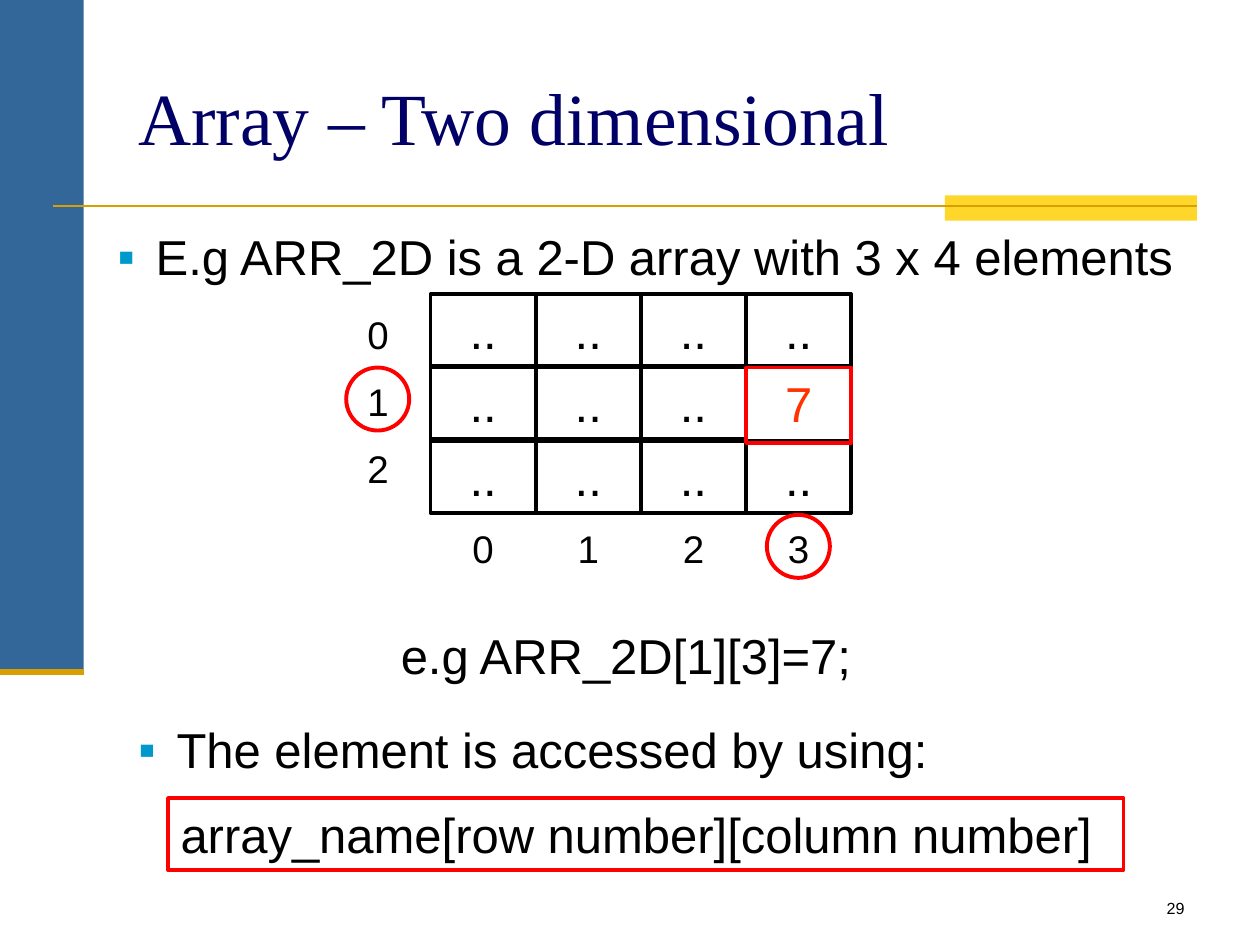
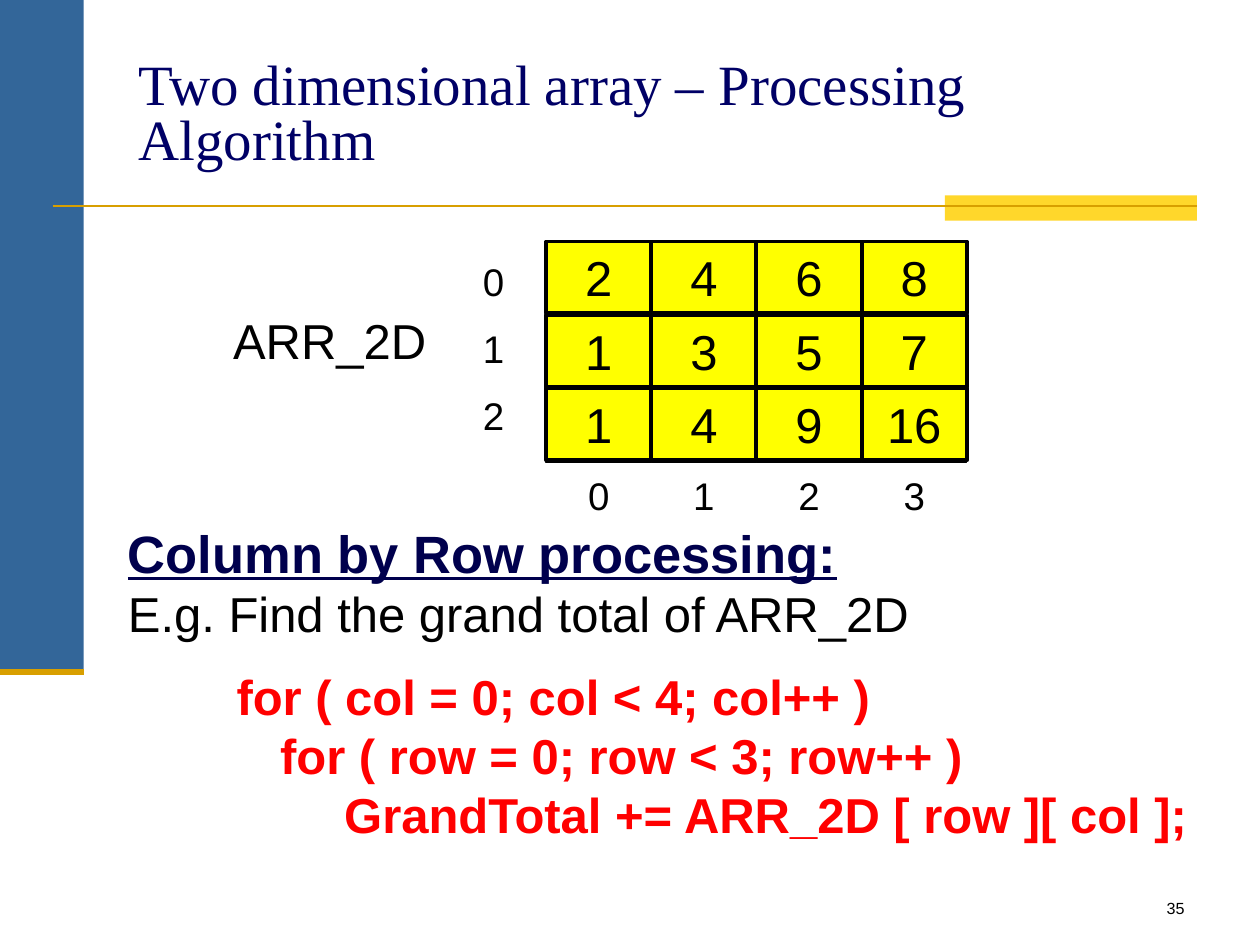
from lxml import etree
from pptx import Presentation
from pptx.dml.color import RGBColor
from pptx.enum import shapes, text
from pptx.oxml import ns
from pptx.util import Cm, Pt

BLACK, RED, NAVY = "000000", "FF0000", "000066"
BLUE, GOLD, AMBER, YELLOW = "336699", "FFD72B", "D89F00", "FFFF00"
ORANGE, DEEP_NAVY, CYAN = "FF3300", "00004D", "0099CC"
SANS, SERIF = "Arial", "Times New Roman"
LEFT, CENTER, RIGHT = text.PP_ALIGN.LEFT, text.PP_ALIGN.CENTER, text.PP_ALIGN.RIGHT
RECT, OVAL = shapes.MSO_SHAPE.RECTANGLE, shapes.MSO_SHAPE.OVAL

COL_STEP, ROW_STEP, CELL_HEIGHT = 2.12, 1.48, 1.45
INDEX_STEP, INDEX_HEIGHT = 1.35, 1.19
GRID_HEIGHT = 4.45
RING, RING_INSET = 1.27, 0.42


def color(code):
    return RGBColor.from_string(code)


def style(para, size, tint=BLACK, face=SANS, align=LEFT):
    para.alignment = align
    para.font.size = Pt(size)
    para.font.name = face
    para.font.color.rgb = color(tint)


def write(box, words, size, tint=BLACK, face=SANS, align=LEFT):
    """Fill a box with one styled paragraph and return that paragraph."""
    box.text_frame.word_wrap = True
    para = box.text_frame.paragraphs[0]
    para.text = words
    style(para, size, tint, face, align)
    return para


def add_label(page, words, left, top, width, height, size=28, **look):
    box = page.shapes.add_textbox(Cm(left), Cm(top), Cm(width), Cm(height))
    write(box, words, size, **look)
    return box


def add_figure(page, kind, left, top, width, height, fill=None, line=None, weight=2.25):
    figure = page.shapes.add_shape(kind, Cm(left), Cm(top), Cm(width), Cm(height))
    figure.shadow.inherit = False
    if fill:
        figure.fill.solid()
        figure.fill.fore_color.rgb = color(fill)
    else:
        figure.fill.background()
    if line:
        figure.line.color.rgb = color(line)
        figure.line.width = Pt(weight)
    else:
        figure.line.fill.background()
    return figure


def add_framed_text(page, words, left, top, width, height,
                    line=BLACK, tint=BLACK, align=CENTER):
    frame = add_figure(page, RECT, left, top, width, height, line=line)
    frame.text_frame.vertical_anchor = text.MSO_ANCHOR.TOP
    write(frame, words, 28, tint, align=align)


def add_rule(page, left, right, top, weight):
    rule = page.shapes.add_connector(
        shapes.MSO_CONNECTOR.STRAIGHT, Cm(left), Cm(top), Cm(right), Cm(top))
    rule.line.color.rgb = color(AMBER)
    rule.line.width = Pt(weight)
    etree.SubElement(rule._element.spPr, ns.qn("a:effectLst"))


def indent(para, margin, first=0):
    props = para._p.get_or_add_pPr()
    props.set("marL", str(Cm(margin)))
    props.set("indent", str(Cm(first)))
    return props


def add_bullet(page, words, left, top, width):
    box = add_label(page, words, left, top, width, CELL_HEIGHT)
    props = indent(box.text_frame.paragraphs[0], 0.77, -0.77)
    tint = etree.SubElement(props, ns.qn("a:buClr"))
    etree.SubElement(tint, ns.qn("a:srgbClr"), val=CYAN)
    etree.SubElement(props, ns.qn("a:buFont"), typeface=SANS)
    etree.SubElement(props, ns.qn("a:buChar"), char="▪")


def add_page(deck, title, title_size, number, spacing=None):
    """Add a slide with the shared bands, rules, title and page number."""
    page = deck.slides.add_slide(deck.slide_layouts[6])
    add_figure(page, RECT, 0, 0, 1.69, 13.55, fill=BLUE)
    add_figure(page, RECT, 19.05, 3.94, 5.08, 0.51, fill=GOLD)
    add_rule(page, 1.06, 24.13, 4.15, 1.5)
    add_rule(page, 0, 1.69, 13.55, 3.5)
    heading = add_label(page, title, 2.54, 0.76, 21.59, 3.18, title_size,
                        tint=NAVY, face=SERIF)
    heading.text_frame.vertical_anchor = text.MSO_ANCHOR.MIDDLE
    if spacing:
        heading.text_frame.paragraphs[0].line_spacing = spacing
    add_label(page, str(number), 18.84, 17.99, 5.29, 0.64, 9.2, align=RIGHT)
    return page


def add_array(page, rows, left, top, fill=None):
    """Draw the cells of an array with row and column indexes; None leaves a gap."""
    columns = [left + COL_STEP * col for col in range(len(rows[0]))]
    if fill:
        for x in columns:
            add_figure(page, RECT, x, top, COL_STEP, GRID_HEIGHT, fill, BLACK, 0.75)
    for row, values in enumerate(rows):
        for x, value in zip(columns, values):
            if value is not None:
                add_framed_text(page, str(value), x, top + ROW_STEP * row,
                                COL_STEP, CELL_HEIGHT)
        add_label(page, str(row), left - COL_STEP, top + 0.21 + INDEX_STEP * row,
                  COL_STEP, INDEX_HEIGHT, 22, align=CENTER)
    for col, x in enumerate(columns):
        add_label(page, str(col), x, top + 4.53, COL_STEP, INDEX_HEIGHT, 22, align=CENTER)


def mark_element(page, value, row, col, left, top):
    """Ring both indexes of one element and frame its value."""
    x, y = left + COL_STEP * col, top + ROW_STEP * row
    add_figure(page, OVAL, left - COL_STEP + RING_INSET, y, RING, RING, line=RED)
    add_figure(page, OVAL, x + RING_INSET, top + GRID_HEIGHT, RING, RING, line=RED)
    add_framed_text(page, value, x, y, COL_STEP, 1.52, line=RED, tint=ORANGE)


def add_code(box, lines):
    """Append (indent, code) lines below the text of a box."""
    for place, (margin, code) in enumerate(lines):
        para = box.text_frame.add_paragraph()
        para.text = code
        style(para, 28, RED)
        para.font.bold = True
        indent(para, margin)
        if place == 0:
            para.space_before = Pt(14)


def build_access_page(deck):
    page = add_page(deck, "Array – Two dimensional", 42, 29)
    left, top = 8.68, 5.93
    add_framed_text(page, "array_name[row number][column number]",
                    3.39, 16.09, 19.26, CELL_HEIGHT, line=RED, align=LEFT)
    add_bullet(page, "The element is accessed by using:", 2.54, 14.39, 19.69)
    add_bullet(page, "E.g ARR_2D is a 2-D array with 3 x 4 elements", 2.12, 4.45, 22.01)
    add_label(page, "e.g ARR_2D[1][3]=7;", 7.83, 12.49, 9.74, CELL_HEIGHT)
    dots = [".."] * 4
    add_array(page, [dots, dots[:3] + [None], dots], left, top)
    mark_element(page, "7", 1, 3, left, top)


def build_processing_page(deck):
    page = add_page(deck, "Two dimensional array – Processing Algorithm", 32.5, 35, 0.8)
    add_label(page, "ARR_2D", 4.45, 6.14, 4.45, CELL_HEIGHT)
    add_array(page, [[2, 4, 6, 8], [1, 3, 5, 7], [1, 4, 9, 16]], 11.01, 4.87, YELLOW)
    steps = add_label(page, "Column by Row processing:", 2.33, 10.37, 22.01, 6.83, 30,
                      tint=DEEP_NAVY)
    heading = steps.text_frame.paragraphs[0]
    heading.font.bold = heading.font.underline = True
    task = steps.text_frame.add_paragraph()
    task.text = "E.g. Find the grand total of ARR_2D"
    style(task, 28)
    add_code(steps, [
        (2.19, "for ( col = 0; col < 4; col++ )"),
        (3.07, "for ( row = 0; row < 3; row++ )"),
        (4.36, "GrandTotal += ARR_2D [ row ][ col ];"),
    ])


def main():
    deck = Presentation()
    deck.slide_width, deck.slide_height = Cm(25.4), Cm(19.05)
    build_access_page(deck)
    build_processing_page(deck)
    deck.save("out.pptx")


if __name__ == "__main__":
    main()
